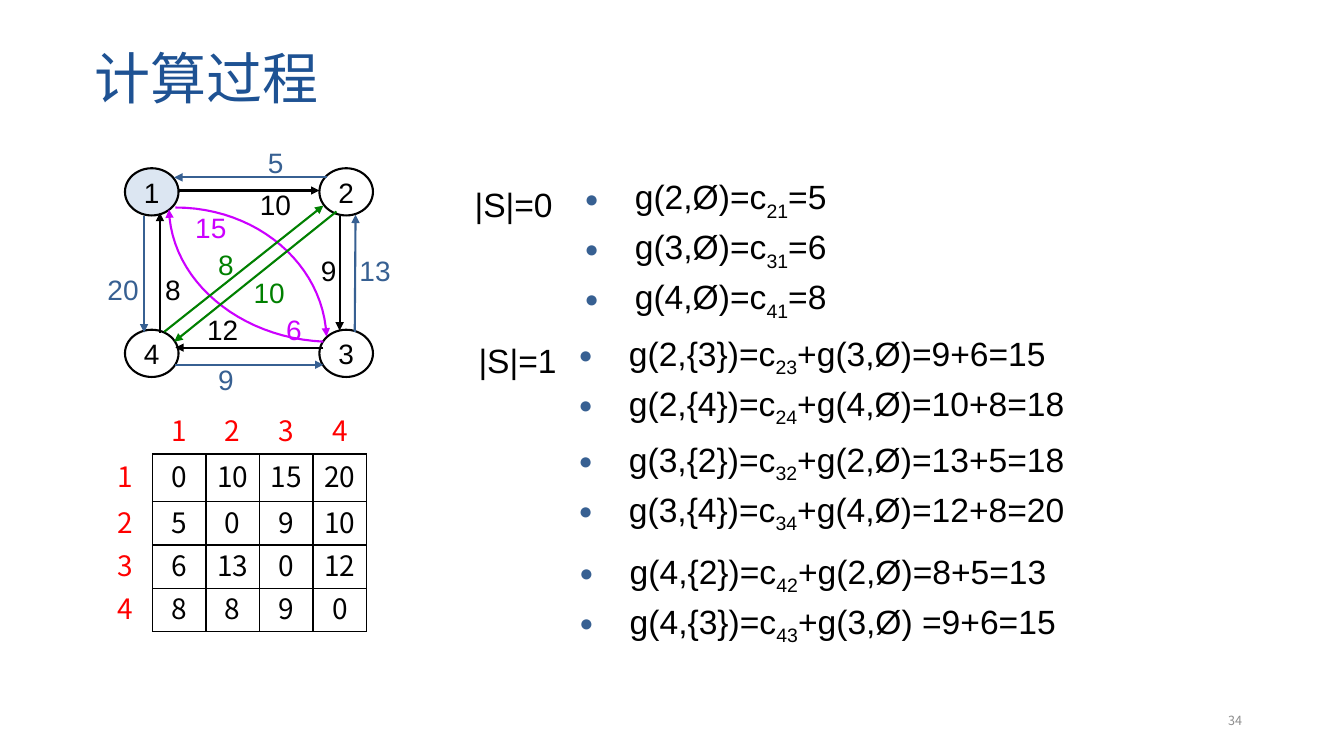
import pptx
import pptx.util
import pptx.dml.color
import pptx.enum.text
import pptx.enum.shapes
import pptx.oxml.ns
import lxml.etree

Cm = pptx.util.Cm
Pt = pptx.util.Pt
RGBColor = pptx.dml.color.RGBColor
ALIGN = pptx.enum.text.PP_ALIGN
ANCHOR = pptx.enum.text.MSO_ANCHOR
FIT = pptx.enum.text.MSO_AUTO_SIZE
KIND = pptx.enum.shapes

BLACK = RGBColor(0x00, 0x00, 0x00)
WHITE = RGBColor(0xFF, 0xFF, 0xFF)
NAVY = RGBColor(0x1E, 0x52, 0x93)
BLUE = RGBColor(0x37, 0x60, 0x92)
PALE = RGBColor(0xDC, 0xE6, 0xF2)
PURPLE = RGBColor(0xCC, 0x00, 0xFF)
GREEN = RGBColor(0x00, 0x80, 0x00)
RED = RGBColor(0xFF, 0x00, 0x00)
GRAY = RGBColor(0x8C, 0x8C, 0x8C)
SANS = "Arial"
NOTO = "Noto Sans CJK SC"

NODES = [("1", 0, 0, PALE), ("2", 1, 0, WHITE), ("3", 1, 1, WHITE), ("4", 0, 1, WHITE)]
EDGES = [
    (1.57, 4.85, 1.57, 1.83, BLACK), (1.17, 1.91, 1.17, 4.85, BLUE),
    (5.69, 5.23, 1.96, 5.23, BLACK), (1.96, 5.66, 5.69, 5.66, BLUE),
    (6.1, 1.91, 6.1, 4.8, BLACK), (6.48, 4.83, 6.5, 1.88, BLUE),
    (5.77, 0.94, 1.93, 0.94, BLUE), (2.06, 1.27, 5.59, 1.27, BLACK),
    (1.68, 4.83, 5.69, 1.65, GREEN), (6.02, 1.8, 1.93, 5.08, GREEN),
]
CURVES = [
    [(1.96, 1.7), (4.01, 1.7), (5.69, 3.12), (5.77, 4.95)],
    [(5.69, 5.08), (3.56, 4.98), (1.85, 3.53), (1.8, 1.75)],
]
COSTS = [
    ("15", 2.21, 1.65, PURPLE), ("6", 4.5, 4.22, PURPLE), ("8", 1.45, 3.2, BLACK),
    ("20", 0, 3.2, BLUE), ("12", 2.51, 4.22, BLACK), ("9", 2.79, 5.49, BLUE),
    ("9", 5.38, 2.74, BLACK), ("13", 6.35, 2.74, BLUE), ("5", 4.04, 0, BLUE),
    ("10", 3.84, 1.07, BLACK), ("10", 3.68, 3.3, GREEN), ("8", 2.79, 2.57, GREEN),
]
GRID = [
    ["", "1", "2", "3", "4"],
    ["1", "0", "10", "15", "20"],
    ["2", "5", "0", "9", "10"],
    ["3", "6", "13", "0", "12"],
    ["4", "8", "8", "9", "0"],
]
LISTS = [
    ((14.63, 4.34, 6.96, 3.48),
     [("g(2,Ø)=c", "21", "=5"), ("g(3,Ø)=c", "31", "=6"), ("g(4,Ø)=c", "41", "=8")]),
    ((14.48, 8.28, 13.46, 2.36),
     [("g(2,{3})=c", "23", "+g(3,Ø)=9+6=15"), ("g(2,{4})=c", "24", "+g(4,Ø)=10+8=18")]),
    ((14.48, 10.95, 13.46, 2.36),
     [("g(3,{2})=c", "32", "+g(2,Ø)=13+5=18"), ("g(3,{4})=c", "34", "+g(4,Ø)=12+8=20")]),
    ((14.5, 13.77, 13.46, 2.36),
     [("g(4,{2})=c", "42", "+g(2,Ø)=8+5=13"), ("g(4,{3})=c", "43", "+g(3,Ø) =9+6=15")]),
]


def add(root, tag, **attrs):
    return lxml.etree.SubElement(root, pptx.oxml.ns.qn("a:" + tag), attrs)


def style(para, size, color, face=SANS, align=ALIGN.LEFT):
    para.alignment = align
    para.font.size = Pt(size)
    para.font.name = face
    para.font.bold = False
    para.font.color.rgb = color


def write(frame, text, size, color, face=SANS, align=ALIGN.LEFT):
    frame.text = text
    style(frame.paragraphs[0], size, color, face, align)


def place(shape, box):
    shape.left, shape.top, shape.width, shape.height = map(Cm, box)


def label(slide, box, text, size, color, wrap=True):
    frame = slide.shapes.add_textbox(*map(Cm, box)).text_frame
    frame.word_wrap = wrap
    write(frame, text, size, color)
    return frame


def arrow(shape, color):
    shape.line.color.rgb = color
    shape.line.width = Pt(1.5)
    add(shape.line._get_or_add_ln(), "tailEnd", type="triangle")
    add(shape._element.spPr, "effectLst")


def bend(start, pull, push, end, t):
    u = 1 - t
    return [u**3 * a + 3 * u * u * t * b + 3 * u * t * t * c + t**3 * d
            for a, b, c, d in zip(start, pull, push, end)]


def graph(slide, left, top):
    for name, col, row, fill in NODES:
        node = slide.shapes.add_shape(
            KIND.MSO_SHAPE.OVAL, Cm(left + 0.69 + 4.9 * col), Cm(top + 0.71 + 4.07 * row),
            Cm(1.35), Cm(1.19))
        node.shadow.inherit = False
        node.fill.solid()
        node.fill.fore_color.rgb = fill
        node.line.color.rgb = BLACK
        node.line.width = Pt(1.5)
        node.text_frame.word_wrap = False
        node.text_frame.vertical_anchor = ANCHOR.MIDDLE
        write(node.text_frame, name, 20, BLACK, align=ALIGN.CENTER)
    for curve in CURVES:
        dots = [bend(*curve, step / 24) for step in range(25)]
        dots = [(Cm(left + x), Cm(top + y)) for x, y in dots]
        pen = slide.shapes.build_freeform(*dots[0])
        pen.add_line_segments(dots[1:], close=False)
        arc = pen.convert_to_shape()
        arc.fill.background()
        arrow(arc, PURPLE)
    for x1, y1, x2, y2, color in EDGES:
        edge = slide.shapes.add_connector(
            KIND.MSO_CONNECTOR.STRAIGHT, Cm(left + x1), Cm(top + y1), Cm(left + x2), Cm(top + y2))
        arrow(edge, color)
    for cost, x, y, color in COSTS:
        label(slide, (left + x, top + y, 1.35, 1.12), cost, 20, color)


def border(cell):
    props = cell._tc.get_or_add_tcPr()
    for side in ("lnL", "lnR", "lnT", "lnB"):
        fill = add(add(props, side, w=str(Pt(1))), "solidFill")
        add(fill, "srgbClr", val=str(BLACK))


def matrix(slide, box):
    table = slide.shapes.add_table(5, 5, *map(Cm, box)).table
    table.first_row = table.horz_banding = False
    for col in table.columns:
        col.width = Cm(box[2] / 5)
    for row, high in zip(table.rows, (1.09, 1.2, 1.09, 1.09, 1.09)):
        row.height = Cm(high)
    for r, line in enumerate(GRID):
        for c, text in enumerate(line):
            cell = table.cell(r, c)
            inner = r > 0 and c > 0
            if inner:
                border(cell)
            cell.fill.background()
            cell.vertical_anchor = ANCHOR.MIDDLE
            write(cell.text_frame, text, 20, BLACK if inner else RED, NOTO, ALIGN.CENTER)
            cell.text_frame.paragraphs[0].line_spacing = 0.8


def bullet(para):
    props = para._p.get_or_add_pPr()
    props.set("marL", str(Cm(1.27)))
    props.set("indent", str(Cm(-1.27)))
    add(add(props, "buClr"), "srgbClr", val=str(BLUE))
    add(props, "buSzPct", val="70000")
    add(props, "buFont", typeface=SANS)
    add(props, "buChar", char="●")


def steps(holder, box, lines):
    place(holder, box)
    frame = holder.text_frame
    frame.auto_size = FIT.NONE
    frame.vertical_anchor = ANCHOR.TOP
    frame.margin_left = frame.margin_right = Cm(0.1)
    frame.margin_top = frame.margin_bottom = Cm(0.1)
    for i, parts in enumerate(lines):
        para = frame.add_paragraph() if i else frame.paragraphs[0]
        bullet(para)
        style(para, 24, BLACK)
        para.space_before = Pt(3)
        for part in parts:
            para.add_run().text = part
        para.runs[1]._r.get_or_add_rPr().set("baseline", "-25000")


def heading(holder, box):
    place(holder, box)
    holder.text_frame.vertical_anchor = ANCHOR.MIDDLE
    write(holder.text_frame, "计算过程", 40, NAVY)
    holder.text_frame.paragraphs[0].line_spacing = 0.9


def number(slide, box):
    frame = label(slide, box, "34", 9, GRAY)
    frame.vertical_anchor = ANCHOR.MIDDLE
    style(frame.paragraphs[0], 9, GRAY, NOTO, ALIGN.RIGHT)


def main():
    deck = pptx.Presentation()
    deck.slide_width, deck.slide_height = Cm(33.87), Cm(19.05)
    slide = deck.slides.add_slide(deck.slide_layouts.get_by_name("Comparison"))
    heading(slide.shapes.title, (2.13, 0.2, 29, 3.68))
    for spot, (box, lines) in enumerate(LISTS, 1):
        steps(slide.placeholders[spot], box, lines)
    graph(slide, 2.46, 3.53)
    matrix(slide, (2.49, 10.34, 6.75, 5.56))
    label(slide, (11.71, 4.5, 2.51, 1.27), "|S|=0", 24, BLACK, False)
    label(slide, (11.81, 8.43, 2.51, 1.27), "|S|=1", 24, BLACK, False)
    number(slide, (23.93, 17.65, 7.62, 1.02))
    deck.save("out.pptx")


if __name__ == "__main__":
    main()
